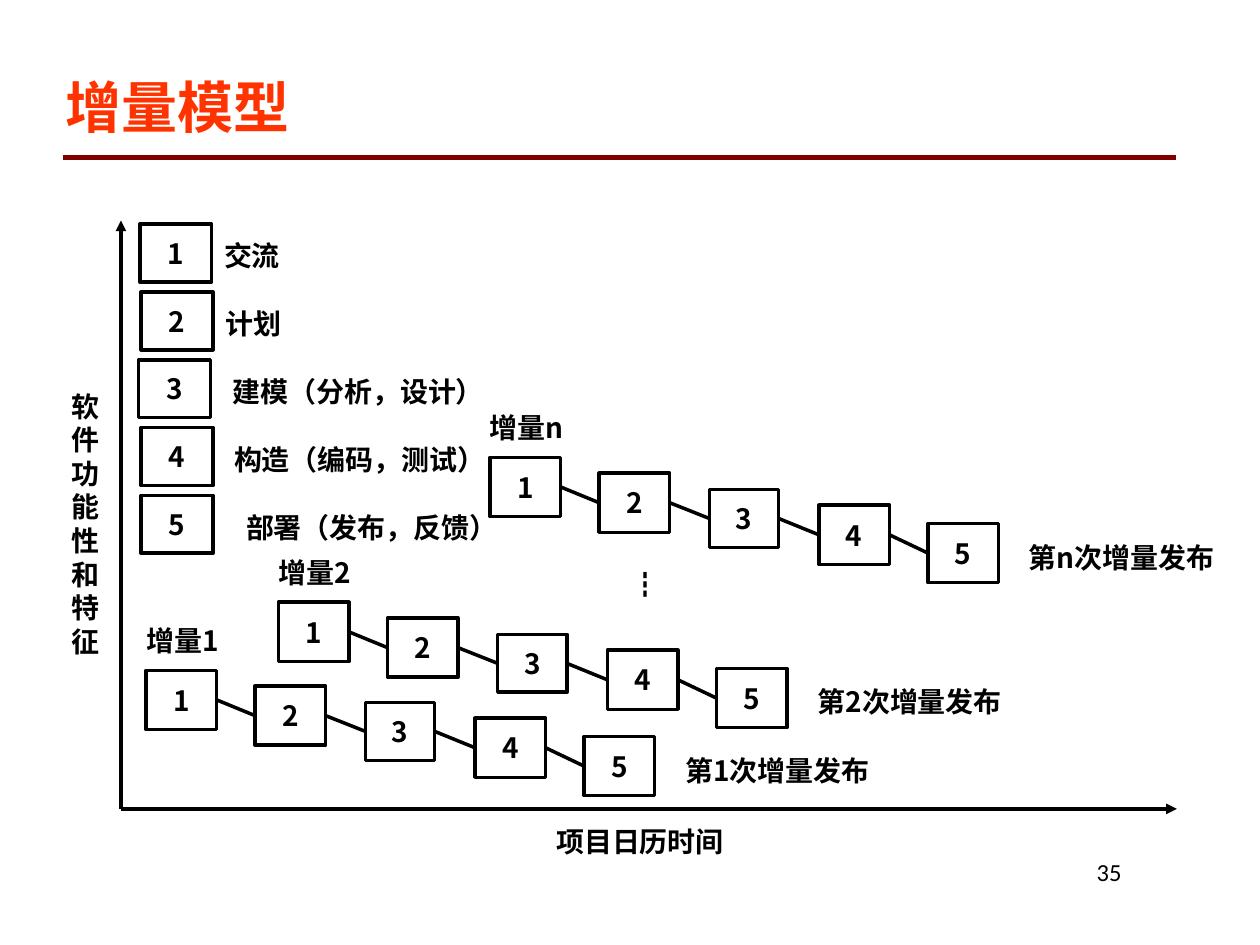
from typing import NamedTuple, Optional

from lxml.etree import SubElement
from pptx import Presentation
from pptx.dml.color import RGBColor
from pptx.enum.shapes import MSO_CONNECTOR, MSO_SHAPE
from pptx.enum.text import MSO_ANCHOR, PP_ALIGN
from pptx.oxml.ns import qn
from pptx.util import Inches, Pt

COLORS = {"ink": "000000", "title": "FF3300", "rule": "800000"}
CJK_FONT = "Noto Sans CJK SC"
LATIN_FONT = "Calibri"
COLUMNS, ROWS = 100, 75
LABEL_HEIGHT = 4.6
RIGHT_SIDE, LEFT_SIDE = 3, 1


class Area(NamedTuple):
    column: float
    row: float
    width: float
    height: float


class Phase(NamedTuple):
    name: str
    column: float
    label_width: float
    align: PP_ALIGN


class Step(NamedTuple):
    column: float
    row: float
    width: float = 5.6
    height: float = 4.7


class Increment(NamedTuple):
    name: str
    column: float
    row: float


PHASES = [
    Phase("交流", 11.1, 16, PP_ALIGN.LEFT),
    Phase("计划", 11.2, 16, PP_ALIGN.LEFT),
    Phase("建模（分析，设计）", 11, 23.5, PP_ALIGN.CENTER),
    Phase("构造（编码，测试）", 11.2, 23.3, PP_ALIGN.CENTER),
    Phase("部署（发布，反馈）", 11.2, 25.2, PP_ALIGN.CENTER),
]
PHASE_TOP, PHASE_PITCH = 17.8, 5.38
STEPS = [Step(0, 0), Step(8.65, 1.25), Step(17.4, 2.55, 5.5, 4.6),
         Step(26.1, 3.8), Step(34.75, 5.25)]
INCREMENTS = [Increment("2", 22.1, 47.8), Increment("n", 38.9, 36.3),
              Increment("1", 11.6, 53.2)]

deck = Presentation()
deck.slide_width, deck.slide_height = Inches(10), Inches(7.5)
page = deck.slides.add_slide(deck.slide_layouts[5])


def across(columns: float) -> int:
    return round(deck.slide_width * columns / COLUMNS)


def down(rows: float) -> int:
    return round(deck.slide_height * rows / ROWS)


def place(area: Area) -> tuple:
    return across(area.column), down(area.row), across(area.width), down(area.height)


def write(box, text: str, *, size: float = 16, font: str = CJK_FONT,
          color: str = "ink", bold: bool = True,
          align: PP_ALIGN = PP_ALIGN.CENTER,
          anchor: MSO_ANCHOR = MSO_ANCHOR.MIDDLE, wrap: bool = False,
          inset: float = 0.1, line_height: Optional[float] = None) -> None:
    frame = box.text_frame
    frame.word_wrap = wrap
    frame.vertical_anchor = anchor
    frame.margin_left = frame.margin_right = Inches(inset)
    frame.margin_top = frame.margin_bottom = Inches(0.05)
    para = frame.paragraphs[0]
    para.alignment = align
    if line_height:
        para.line_spacing = Pt(line_height)
    span = para.add_run()
    span.text = text
    span.font.name = font
    span.font.size = Pt(size)
    span.font.bold = bold
    span.font.color.rgb = RGBColor.from_string(COLORS[color])
    SubElement(span.font._element, qn("a:ea"), typeface=CJK_FONT)


def add_label(area: Area, text: str, **style) -> None:
    write(page.shapes.add_textbox(*place(area)), text, **style)


def add_box(area: Area, text: str):
    box = page.shapes.add_shape(MSO_SHAPE.RECTANGLE, *place(area))
    box.shadow.inherit = False
    box.fill.background()
    box.line.color.rgb = RGBColor.from_string(COLORS["ink"])
    box.line.width = Pt(2)
    write(box, text, inset=0.06)
    return box


def add_line(start: tuple = (0, 0), end: tuple = (0, 0), *, color: str = "ink",
             width: float = 2, arrow: bool = False):
    line = page.shapes.add_connector(
        MSO_CONNECTOR.STRAIGHT, across(start[0]), down(start[1]),
        across(end[0]), down(end[1]))
    line.line.color.rgb = RGBColor.from_string(COLORS[color])
    line.line.width = Pt(width)
    if arrow:
        SubElement(line.line._get_or_add_ln(), qn("a:tailEnd"), type="triangle")
    SubElement(line._element.spPr, qn("a:effectLst"))
    return line


def add_phase(index: int, phase: Phase) -> None:
    top = PHASE_TOP + index * PHASE_PITCH
    add_box(Area(phase.column, top, 5.7, 4.6), str(index + 1))
    add_label(Area(phase.column + 5.7, top + 0.2, phase.label_width, LABEL_HEIGHT),
              phase.name, align=phase.align)


def add_increment(increment: Increment) -> None:
    name, left, top = increment
    boxes = [
        add_box(Area(left + step.column, top + step.row, step.width, step.height),
                str(number))
        for number, step in enumerate(STEPS, 1)
    ]
    for before, after in zip(boxes, boxes[1:]):
        link = add_line()
        link.begin_connect(before, RIGHT_SIDE)
        link.end_connect(after, LEFT_SIDE)
    add_label(Area(left - 1.7, top - 4.7, 9.2, LABEL_HEIGHT), f"增量{name}")
    add_label(Area(left + 41.2, top + 5.6, 17.8, LABEL_HEIGHT), f"第{name}次增量发布")


def main() -> None:
    add_line((5, 12.5), (93.3, 12.5), color="rule", width=3)
    title = page.shapes.title
    title.left, title.top, title.width, title.height = place(Area(4.2, 4.2, 75, 8.5))
    write(title, "增量模型", size=32, font=LATIN_FONT, color="title",
          align=PP_ALIGN.LEFT, wrap=True)
    add_label(Area(75.8, 67.5, 14.2, 5), "35", size=14, font=LATIN_FONT, bold=False,
              align=PP_ALIGN.RIGHT, anchor=MSO_ANCHOR.TOP, wrap=True)

    origin = (9.6, 64.2)
    add_line(origin, (93.4, 64.2), arrow=True)
    add_line(origin, (9.6, 17.5), arrow=True)
    add_label(Area(42.8, 64.5, 16, LABEL_HEIGHT), "项目日历时间")
    add_label(Area(4.2, 26.5, 5.1, 30.1), "软件功能性和特征", wrap=True, line_height=19.2)

    for increment in INCREMENTS:
        add_increment(increment)
    add_label(Area(48, 43.9, 6.5, 4.9), "┇")
    for index, phase in enumerate(PHASES):
        add_phase(index, phase)
    deck.save("out.pptx")


if __name__ == "__main__":
    main()
